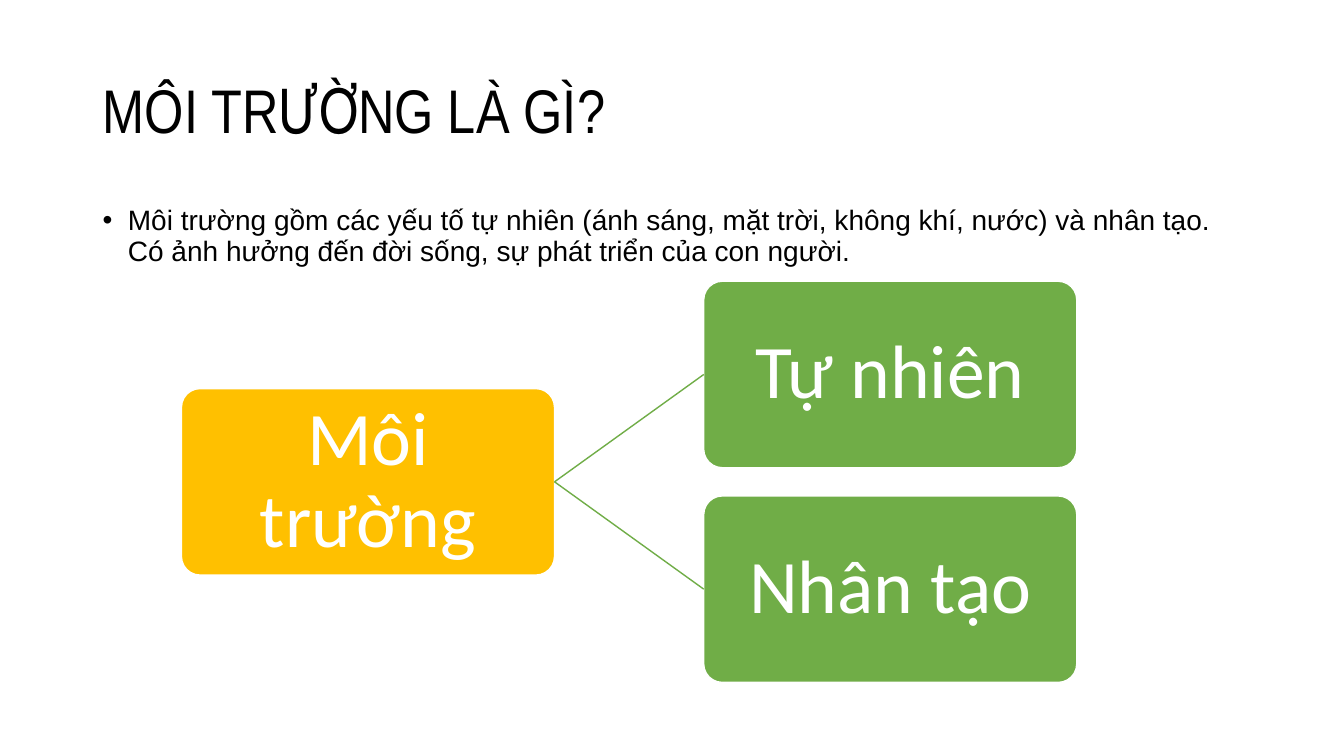
from lxml.etree import SubElement
from pptx import Presentation
from pptx.dml.color import RGBColor
from pptx.enum.shapes import MSO_CONNECTOR, MSO_SHAPE
from pptx.enum.text import MSO_ANCHOR, PP_ALIGN
from pptx.oxml.ns import qn
from pptx.util import Inches, Pt

BLACK, WHITE, GOLD, GREEN = "000000", "FFFFFF", "FFC000", "70AD47"
NODE_WIDTH, NODE_HEIGHT = 3.7, 1.85
ROOT = "Môi trường"
BRANCHES = ["Tự nhiên", "Nhân tạo"]


def color(value):
    """Turn a hex string into a colour."""
    return RGBColor.from_string(value)


def apply_format(target, values):
    """Set every attribute named in the dict on the target."""
    for name, value in values.items():
        setattr(target, name, value)


def write_text(shape, text, font_name, size, font_color, frame_format, paragraph_format):
    """Write one formatted paragraph into the shape and return it."""
    apply_format(shape.text_frame, {"word_wrap": True, **frame_format})
    paragraph = shape.text_frame.paragraphs[0]
    apply_format(paragraph, {"line_spacing": 0.9, **paragraph_format})
    run = paragraph.add_run()
    run.text = text
    apply_format(run.font, {"name": font_name, "size": Pt(size)})
    run.font.color.rgb = color(font_color)
    return paragraph


def add_title(slide, text, left, top, width, height):
    """Place the title placeholder in its box and fill it."""
    box = dict(left=Inches(left), top=Inches(top), width=Inches(width), height=Inches(height))
    apply_format(slide.shapes.title, box)
    write_text(slide.shapes.title, text, "Arial Narrow", 44, BLACK,
               {"vertical_anchor": MSO_ANCHOR.MIDDLE}, {"alignment": PP_ALIGN.LEFT})


def add_body(slide, text, left, top, width, height):
    """Add a bulleted paragraph in its box."""
    body = slide.shapes.add_textbox(Inches(left), Inches(top), Inches(width), Inches(height))
    paragraph = write_text(body, text, "Arial", 20, BLACK, {}, {"space_before": Pt(10)})
    properties = paragraph._p.get_or_add_pPr()
    properties.set("marL", str(Inches(0.25)))
    properties.set("indent", str(Inches(-0.25)))
    SubElement(properties, qn("a:buFont")).set("typeface", "Arial")
    SubElement(properties, qn("a:buChar")).set("char", "•")


def add_node(slide, text, fill, left, top):
    """Add one rounded box with centred text."""
    node = slide.shapes.add_shape(MSO_SHAPE.ROUNDED_RECTANGLE, Inches(left), Inches(top),
                                  Inches(NODE_WIDTH), Inches(NODE_HEIGHT))
    node.adjustments[0] = 0.1
    node.shadow.inherit = False
    node.fill.solid()
    node.fill.fore_color.rgb = color(fill)
    node.line.color.rgb = color(WHITE)
    node.line.width = Pt(1)
    margins = {f"margin_{side}": Inches(0.04) for side in ("left", "top", "right", "bottom")}
    write_text(node, text, "Calibri", 54, WHITE,
               {"vertical_anchor": MSO_ANCHOR.MIDDLE, **margins},
               {"alignment": PP_ALIGN.CENTER})
    return node


def join_nodes(slide, parent, child):
    """Draw a line from the parent's right side to the child's left side."""
    connector = slide.shapes.add_connector(MSO_CONNECTOR.STRAIGHT, 0, 0, 0, 0)
    connector.begin_connect(parent, 3)
    connector.end_connect(child, 1)
    connector.line.color.rgb = color(GREEN)
    connector.line.width = Pt(1)
    SubElement(connector._element.spPr, qn("a:effectLst"))


def add_hierarchy(slide, left, top, width, height):
    """Add the root box, centred on the left, and its branches on the right."""
    root = add_node(slide, ROOT, GOLD, left, top + (height - NODE_HEIGHT) / 2)
    step = (height - NODE_HEIGHT) / (len(BRANCHES) - 1)
    for index, text in enumerate(BRANCHES):
        branch = add_node(slide, text, GREEN, left + width - NODE_WIDTH, top + index * step)
        join_nodes(slide, root, branch)


def main():
    """Build and save the presentation."""
    presentation = Presentation()
    apply_format(presentation, {"slide_width": Inches(13.33), "slide_height": Inches(7.5)})
    slide = presentation.slides.add_slide(presentation.slide_layouts[5])
    add_title(slide, "MÔI TRƯỜNG LÀ GÌ?", 0.92, 0.4, 11.5, 1.45)
    add_body(slide, "Môi trường gồm các yếu tố tự nhiên (ánh sáng, mặt trời, không khí, nước) "
             "và nhân tạo. Có ảnh hưởng đến đời sống, sự phát triển của con người.",
             0.92, 2, 11.5, 0.75)
    add_hierarchy(slide, 1.8, 2.79, 8.88, 3.98)
    presentation.save("out.pptx")


if __name__ == "__main__":
    main()
